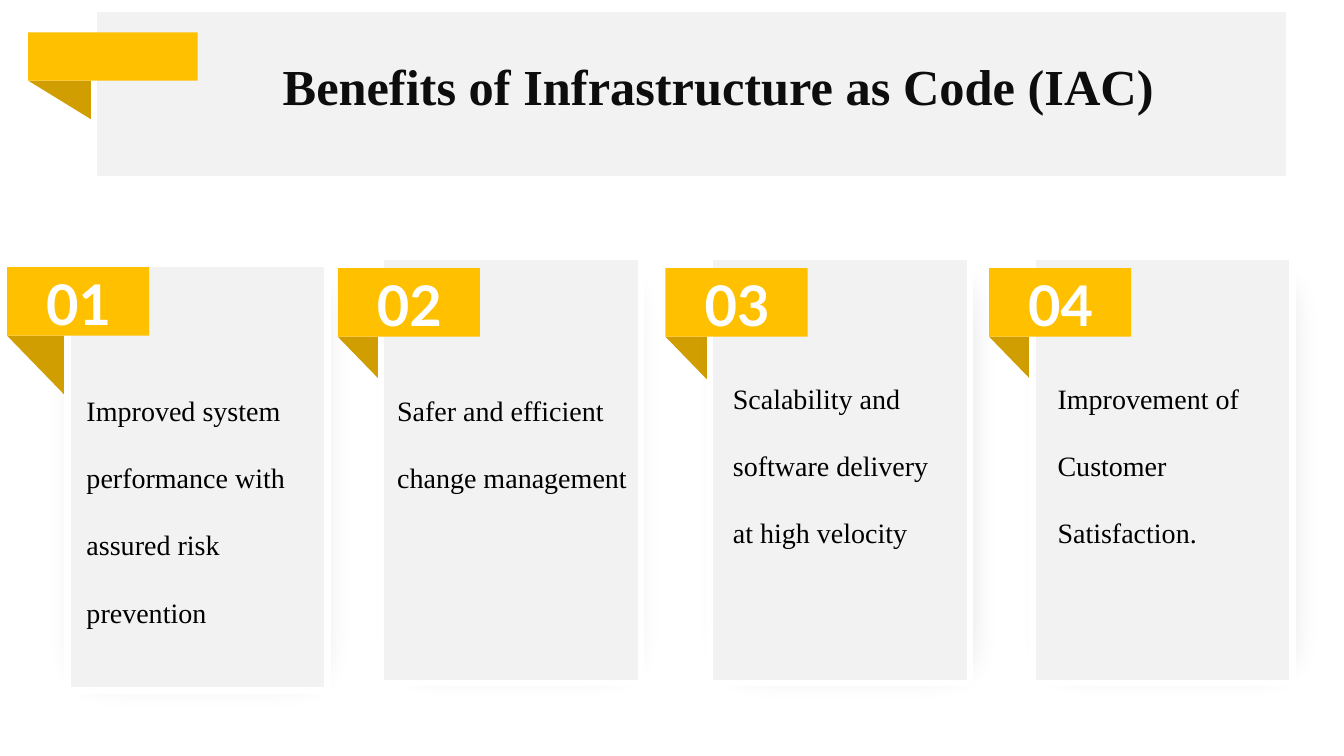
"""Build the slide on the benefits of infrastructure as code."""
from lxml import etree
from pptx import Presentation
from pptx.dml.color import RGBColor
from pptx.enum.shapes import MSO_SHAPE as Shape
from pptx.enum.text import MSO_ANCHOR as Anchor, MSO_AUTO_SIZE as AutoSize, PP_ALIGN as Align
from pptx.oxml.ns import qn
from pptx.util import Inches, Pt

TITLE = "Benefits of Infrastructure as Code (IAC)"
GOLD, DARK_GOLD, GREY, WHITE, BLACK = "FFC000", "D09E00", "F2F2F2", "FFFFFF", "000000"
SERIF, SANS = "Times New Roman", "Lato"

CARDS = [
    {"text": "Improved system performance with assured risk prevention",
     "ribbon": (0.07, 2.65), "card": (0.67, 2.62), "body": (0.76, 3.52, 2.44, 2.69),
     "shadow": (0.23, 2.28, 3.49, 5), "fold_behind": False},
    {"text": "Safer and efficient change management",
     "ribbon": (3.35, 2.66), "card": (3.78, 2.55), "body": (3.84, 3.52, 2.52, 1.34),
     "shadow": (3.46, 2.28, 3.33, 4.9), "fold_behind": False},
    {"text": "Scalability and software delivery at high velocity",
     "ribbon": (6.6, 2.66), "card": (7.04, 2.55), "body": (7.17, 3.4, 2.39, 2.02),
     "shadow": (6.68, 2.28, 3.46, 4.92), "fold_behind": True},
    {"text": "Improvement of Customer Satisfaction.",
     "ribbon": (9.81, 2.66), "card": (10.24, 2.55), "body": (10.39, 3.4, 2.28, 2.02),
     "shadow": (9.87, 2.26, 3.46, 4.92), "fold_behind": True},
]
CARD_SIZE = (2.58, 4.23)
RIBBON_SIZE = (1.41, 0.68)
FOLD_SIZE = (0.66, 0.68)
NUMBER_SIZE = (0.92, 0.75)


def color(value):
    return RGBColor.from_string(value)


def add_block(shapes, kind, box, fill, line=None):
    block = shapes.add_shape(kind, *map(Inches, box))
    block.shadow.inherit = False
    block.fill.solid()
    block.fill.fore_color.rgb = color(fill)
    if line:
        block.line.color.rgb = color(line)
        block.line.width = Pt(4.5)
    else:
        block.line.fill.background()
    return block


def add_fold(shapes, box):
    add_block(shapes, Shape.RIGHT_TRIANGLE, box, DARK_GOLD).rotation = 180


def add_soft_shadow(shapes, box):
    properties = add_block(shapes, Shape.RECTANGLE, box, BLACK)._element.spPr
    tint = properties.find(qn("a:solidFill")).find(qn("a:srgbClr"))
    etree.SubElement(tint, qn("a:alpha"), val="10000")
    effects = properties.find(qn("a:effectLst"))
    etree.SubElement(effects, qn("a:softEdge"), rad=str(Inches(0.35)))


def write(box, text, font, size, ink, bold=False, align=Align.LEFT, spacing=1.0):
    frame = box.text_frame
    frame.text = text
    frame.word_wrap = True
    frame.auto_size = AutoSize.SHAPE_TO_FIT_TEXT
    frame.vertical_anchor = Anchor.TOP
    para = frame.paragraphs[0]
    para.alignment = align
    para.line_spacing = spacing
    span = para.runs[0]
    span.font.name = font
    span.font.size = Pt(size)
    span.font.bold = bold
    span.font.color.rgb = color(ink)


def add_title(page):
    add_fold(page.shapes, (0.28, 0.8, 0.78, 0.48))
    add_block(page.shapes, Shape.RECTANGLE, (0.93, 0.09, 11.86, 1.69), GREY, WHITE)
    add_block(page.shapes, Shape.RECTANGLE, (0.28, 0.32, 1.68, 0.48), GOLD)
    title = page.shapes.title
    title.left, title.top, title.width, title.height = map(Inches, (2.14, 0.5, 9.97, 0.71))
    write(title, TITLE, SERIF, 36, "0D0D0D", True, Align.CENTER)
    page.shapes._spTree.append(title._element)


def add_card(page, number, card):
    shapes = page.shapes.add_group_shape().shapes
    left, top = card["ribbon"]
    fold = (left, top + RIBBON_SIZE[1], *FOLD_SIZE)
    backdrop = [(add_soft_shadow, card["shadow"]), (add_fold, fold)]
    if card["fold_behind"]:
        backdrop.reverse()
    for draw, box in backdrop:
        draw(shapes, box)
    add_block(shapes, Shape.RECTANGLE, card["card"] + CARD_SIZE, GREY, WHITE)
    add_block(shapes, Shape.RECTANGLE, card["ribbon"] + RIBBON_SIZE, GOLD)
    label = shapes.add_textbox(*map(Inches, (left + 0.25, top - 0.03, *NUMBER_SIZE)))
    write(label, f"{number:02}", SANS, 40, WHITE, True, Align.CENTER)
    body = shapes.add_textbox(*map(Inches, card["body"]))
    write(body, card["text"], SERIF, 20, BLACK, spacing=2.0)


def main():
    deck = Presentation()
    deck.slide_width, deck.slide_height = Inches(13.33), Inches(7.5)
    page = deck.slides.add_slide(deck.slide_layouts[5])
    add_title(page)
    for number, card in enumerate(CARDS, 1):
        add_card(page, number, card)
    deck.save("out.pptx")


if __name__ == "__main__":
    main()
